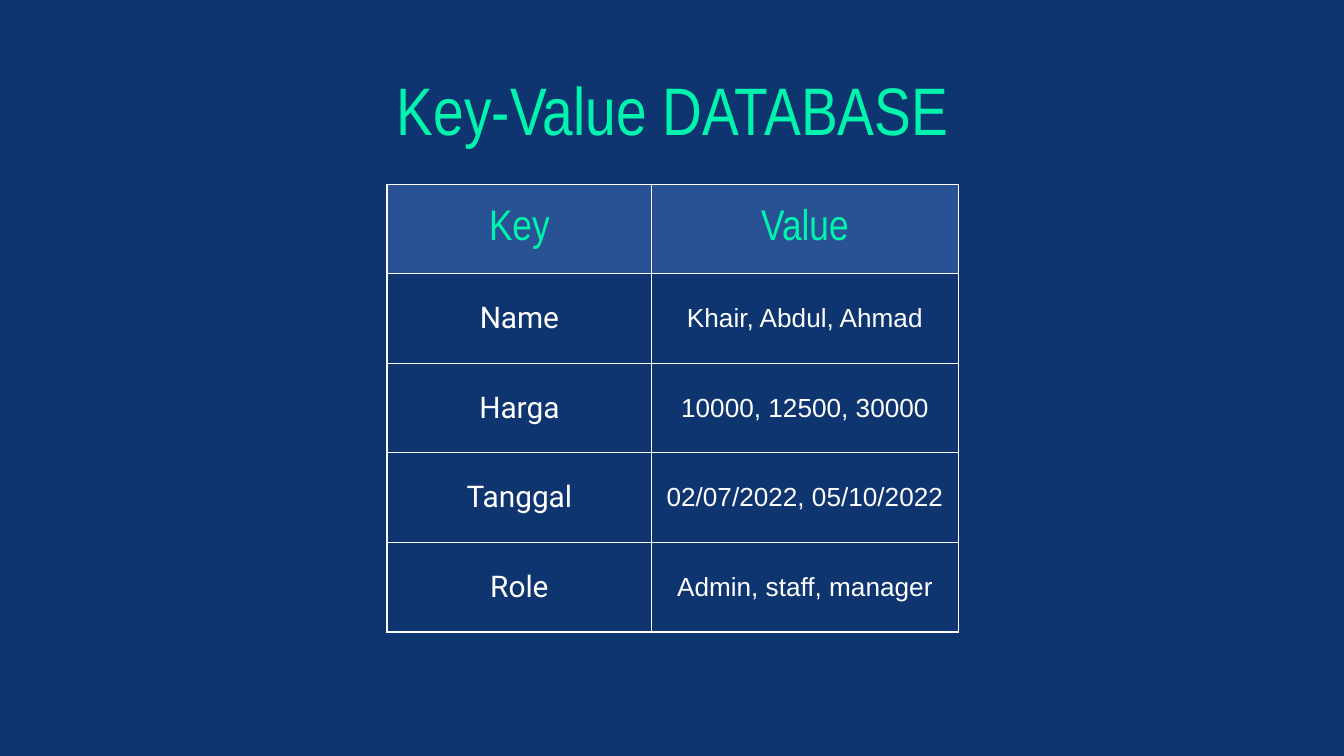
import typing

import lxml.etree
import pptx
import pptx.dml.color
import pptx.enum.text
import pptx.oxml.ns
import pptx.util

Pt = pptx.util.Pt


class Style(typing.NamedTuple):
    font: str
    size: float
    color: str


class Row(typing.NamedTuple):
    key: str
    value: str


MINT, WHITE, NAVY, BLUE = "00F4AD", "FFFFFF", "0F3570", "285293"
TITLE = Style("Arial Narrow", 36, MINT)
HEADER = Style("Arial Narrow", 23, MINT)
KEY = Style("Roboto", 16, WHITE)
VALUE = Style("Arial", 14, WHITE)

ROWS = [
    Row("Key", "Value"),
    Row("Name", "Khair, Abdul, Ahmad"),
    Row("Harga", "10000, 12500, 30000"),
    Row("Tanggal", "02/07/2022, 05/10/2022"),
    Row("Role", "Admin, staff, manager"),
]
COL_WIDTHS = (141.84, 164.16)
ROW_HEIGHT = 48


def set_solid(fill, color: str) -> None:
    fill.solid()
    fill.fore_color.rgb = pptx.dml.color.RGBColor.from_string(color)


def write(tf, text: str, style: Style) -> None:
    p = tf.paragraphs[0]
    p.alignment = pptx.enum.text.PP_ALIGN.CENTER
    r = p.add_run()
    r.text = text
    r.font.name = style.font
    r.font.size = Pt(style.size)
    set_solid(r.font.fill, style.color)


def set_margins(target, margin: float) -> None:
    target.margin_left = target.margin_right = Pt(margin)
    target.margin_top = target.margin_bottom = Pt(margin)


def add_borders(cell, color: str, width: float) -> None:
    qn = pptx.oxml.ns.qn
    tcPr = cell._tc.get_or_add_tcPr()
    for i, side in enumerate(("lnL", "lnR", "lnT", "lnB")):
        ln = lxml.etree.Element(qn(f"a:{side}"), w=str(Pt(width)))
        fill = lxml.etree.SubElement(ln, qn("a:solidFill"))
        lxml.etree.SubElement(fill, qn("a:srgbClr"), val=color)
        tcPr.insert(i, ln)


def add_title(s, text: str) -> None:
    sp = s.shapes.add_textbox(Pt(56.88), Pt(36.72), Pt(606.96), Pt(38.16))
    tf = sp.text_frame
    tf.word_wrap = True
    set_margins(tf, 0)
    write(tf, text, TITLE)


def fill_cell(cell, text: str, style: Style, is_header: bool) -> None:
    set_margins(cell, 7.2)
    cell.vertical_anchor = pptx.enum.text.MSO_ANCHOR.MIDDLE
    write(cell.text_frame, text, style)
    if is_header:
        set_solid(cell.fill, BLUE)
    else:
        cell.fill.background()
    add_borders(cell, WHITE, 0.75)


def add_key_value_table(s, rows: list[Row]) -> None:
    frame = s.shapes.add_table(
        len(rows), len(COL_WIDTHS), Pt(207.36), Pt(98.64),
        Pt(sum(COL_WIDTHS)), Pt(ROW_HEIGHT * len(rows)),
    )
    table = frame.table
    table.first_row = table.horz_banding = False
    for col, width in zip(table.columns, COL_WIDTHS):
        col.width = Pt(width)
    for i, row in enumerate(rows):
        table.rows[i].height = Pt(ROW_HEIGHT)
        styles = (HEADER, HEADER) if i == 0 else (KEY, VALUE)
        for j, (text, style) in enumerate(zip(row, styles)):
            fill_cell(table.cell(i, j), text, style, i == 0)


def main() -> None:
    prs = pptx.Presentation()
    prs.slide_width, prs.slide_height = Pt(720), Pt(405)
    s = prs.slides.add_slide(prs.slide_layouts[6])
    set_solid(s.background.fill, NAVY)
    add_title(s, "Key-Value DATABASE")
    add_key_value_table(s, ROWS)
    prs.save("out.pptx")


if __name__ == "__main__":
    main()
